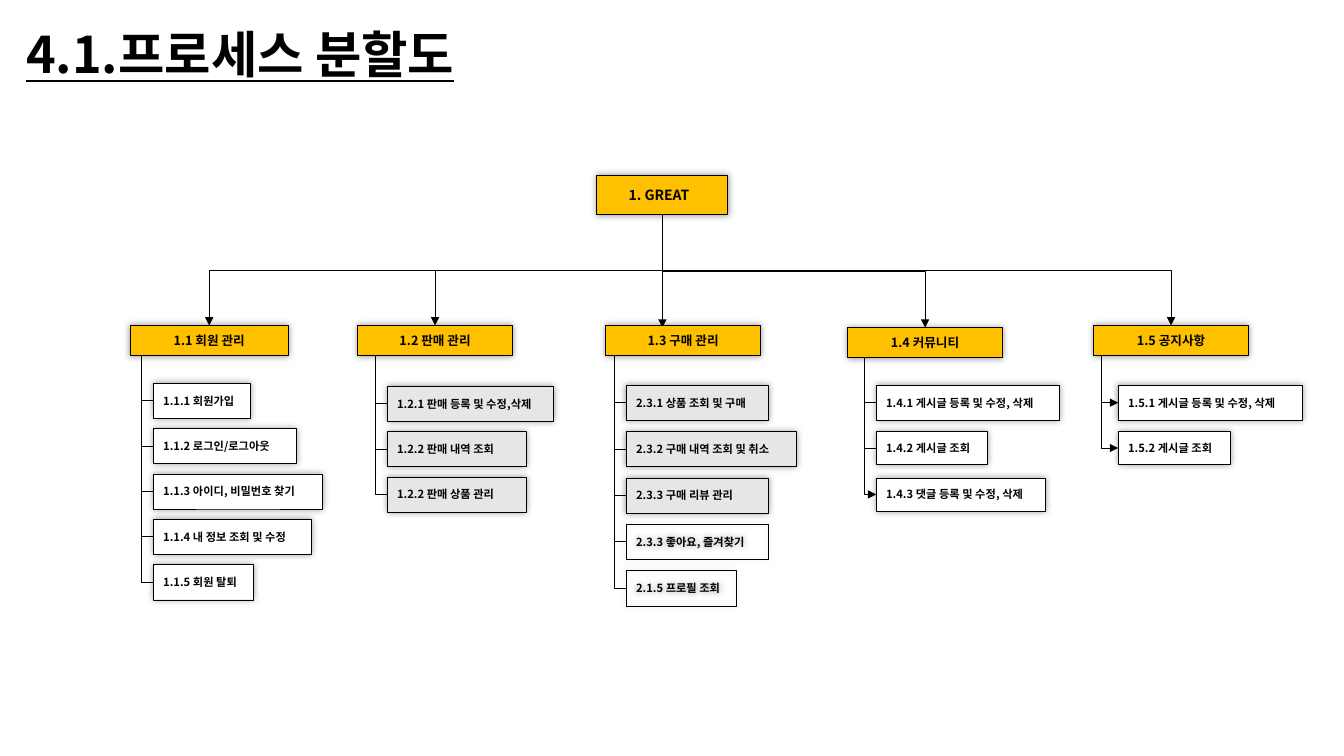
"""Process breakdown slide: one root, five branches and their sub-processes."""
import pptx
import pptx.util
import pptx.dml.color
import pptx.enum.shapes
import pptx.enum.text
import pptx.oxml
import pptx.oxml.ns

Inches, Pt = pptx.util.Inches, pptx.util.Pt
rgb = pptx.dml.color.RGBColor.from_string
qn = pptx.oxml.ns.qn
CONNECTOR = pptx.enum.shapes.MSO_CONNECTOR
ALIGN = pptx.enum.text.PP_ALIGN
FONT = "Noto Sans CJK KR"
NS = 'xmlns:a="http://schemas.openxmlformats.org/drawingml/2006/main"'
SHADOW = (f'<a:effectLst {NS}><a:outerShdw blurRad="63500" dist="0" dir="0" algn="ctr" rotWithShape="0">'
          '<a:srgbClr val="000000"><a:alpha val="40000"/></a:srgbClr></a:outerShdw></a:effectLst>')
GOLD, GREY, WHITE, BLACK = "FFC000", "E7E6E6", "FFFFFF", "000000"


def write(sp, text, size, align):
    tf = sp.text_frame
    tf.word_wrap = True
    p = tf.paragraphs[0]
    p.text = text
    p.alignment = align
    p.font.size = Pt(size)
    p.font.bold = True
    p.font.name = FONT
    p.font.color.rgb = rgb(BLACK)
    p.font._element.append(pptx.oxml.parse_xml(f'<a:ea {NS} typeface="{FONT}"/>'))
    return sp


def link(kind, x1, y1, x2, y2, width, arrow):
    if kind == "line":
        c = shapes.add_connector(CONNECTOR.STRAIGHT, Inches(x1), Inches(y1), Inches(x2), Inches(y2))
    else:
        w, h = y2 - y1, abs(x2 - x1)
        left, top = (x1 + x2 - w) / 2, (y1 + y2 - h) / 2
        c = shapes.add_connector(CONNECTOR.ELBOW, Inches(left), Inches(top), Inches(left + w), Inches(top + h))
        c._element.spPr.find(qn("a:prstGeom")).set("prst", kind)
        xfrm = c._element.spPr.find(qn("a:xfrm"))
        xfrm.set("rot", "5400000" if x2 < x1 else "16200000")
        if x2 > x1:
            xfrm.set("flipH", "1")
    c.line.color.rgb = rgb(BLACK)
    c.line.width = Pt(width)
    if arrow:
        c.line._get_or_add_ln().append(pptx.oxml.parse_xml(f'<a:tailEnd {NS} type="triangle"/>'))
    c._element.spPr.append(pptx.oxml.parse_xml(f'<a:effectLst {NS}/>'))


prs = pptx.Presentation()
prs.slide_width, prs.slide_height = Inches(13.33), Inches(7.5)
shapes = prs.slides.add_slide(prs.slide_layouts[6]).shapes

title = shapes.add_textbox(Inches(0.16), Inches(0.18), Inches(4.93), Inches(0.71))
write(title, "4.1.프로세스 분할도", 36, ALIGN.LEFT)
title.text_frame.paragraphs[0].font.underline = True

# (heading, left, top, width), stem x, item left, first top, pitch, later height, thick links, arrows, items
branches = [
    (("1.1 회원 관리", 1.29, 3.23, 1.57), 1.4, 1.52, 3.8, 0.45, 0.35, 4, False, [
        ("1.1.1 회원가입", 0.96, WHITE),
        ("1.1.2 로그인/로그아웃", 1.42, WHITE),
        ("1.1.3 아이디, 비밀번호 찾기", 1.68, WHITE),
        ("1.1.4 내 정보 조회 및 수정", 1.57, WHITE),
        ("1.1.5 회원 탈퇴", 0.99, WHITE)]),
    (("1.2 판매 관리", 3.55, 3.23, 1.53), 3.72, 3.84, 3.83, 0.45, 0.35, 2, False, [
        ("1.2.1 판매 등록 및 수정,삭제", 1.65, GREY),
        ("1.2.2 판매 내역 조회", 1.38, GREY),
        ("1.2.2 판매 상품 관리", 1.38, GREY)]),
    (("1.3 구매 관리", 6.01, 3.23, 1.53), 6.09, 6.21, 3.82, 0.46, 0.35, 3, False, [
        ("2.3.1 상품 조회 및 구매", 1.41, GREY),
        ("2.3.2 구매 내역 조회 및 취소", 1.69, GREY),
        ("2.3.3 구매 리뷰 관리", 1.41, GREY),
        ("2.3.3 좋아요, 즐겨찾기", 1.41, None),
        ("2.1.5 프로필 조회", 1.09, None)]),
    (("1.4 커뮤니티", 8.41, 3.25, 1.53), 8.57, 8.69, 3.82, 0.46, 0.33, 2, True, [
        ("1.4.1 게시글 등록 및 수정, 삭제", 1.82, WHITE),
        ("1.4.2 게시글 조회", 1.1, WHITE),
        ("1.4.3 댓글 등록 및 수정, 삭제", 1.68, WHITE)]),
    (("1.5 공지사항", 10.85, 3.23, 1.53), 10.92, 11.09, 3.82, 0.46, 0.33, 0, True, [
        ("1.5.1 게시글 등록 및 수정, 삭제", 1.83, WHITE),
        ("1.5.2 게시글 조회", 1.11, WHITE)]),
]

root_x, root_bottom = 6.57, 2.13
boxes = [("1. GREAT", 5.92, 1.74, 1.3, 0.39, GOLD, 10, 0.75)]
for (heading, left, top, width), stem, item_left, first, pitch, later_h, thick, arrows, items in branches:
    boxes.append((heading, left, top, width, 0.3, GOLD, 9, 0.75))
    center = left + width / 2
    if left < root_x < left + width:
        link("line", root_x, 2.68, root_x, 3.25, 0.5, True)
    else:
        link("bentConnector3", root_x, root_bottom, center, top, 0.5, True)
    for i, (text, item_w, fill) in enumerate(items):
        y, h = first + i * pitch, later_h if i else 0.35
        is_thick = i < thick
        link("bentConnector2", stem, top + 0.3, item_left, y + h / 2,
             0.75 if is_thick else 0.5, arrows and not is_thick)
        boxes.append((text, item_left, y, item_w, h, fill, 8, 0.25))

for text, left, top, width, height, fill, size, border in boxes:
    sp = shapes.add_shape(pptx.enum.shapes.MSO_SHAPE.RECTANGLE,
                          Inches(left), Inches(top), Inches(width), Inches(height))
    if fill:
        sp.fill.solid()
        sp.fill.fore_color.rgb = rgb(fill)
    else:
        sp.fill.background()
    sp.line.color.rgb = rgb(BLACK)
    sp.line.width = Pt(border)
    sp._element.spPr.append(pptx.oxml.parse_xml(SHADOW))
    write(sp, text, size, ALIGN.CENTER if fill == GOLD else ALIGN.LEFT)
    sp.text_frame.vertical_anchor = pptx.enum.text.MSO_ANCHOR.MIDDLE
    if size == 10:
        sp.text_frame.margin_left = Inches(0.03)

prs.save("out.pptx")
